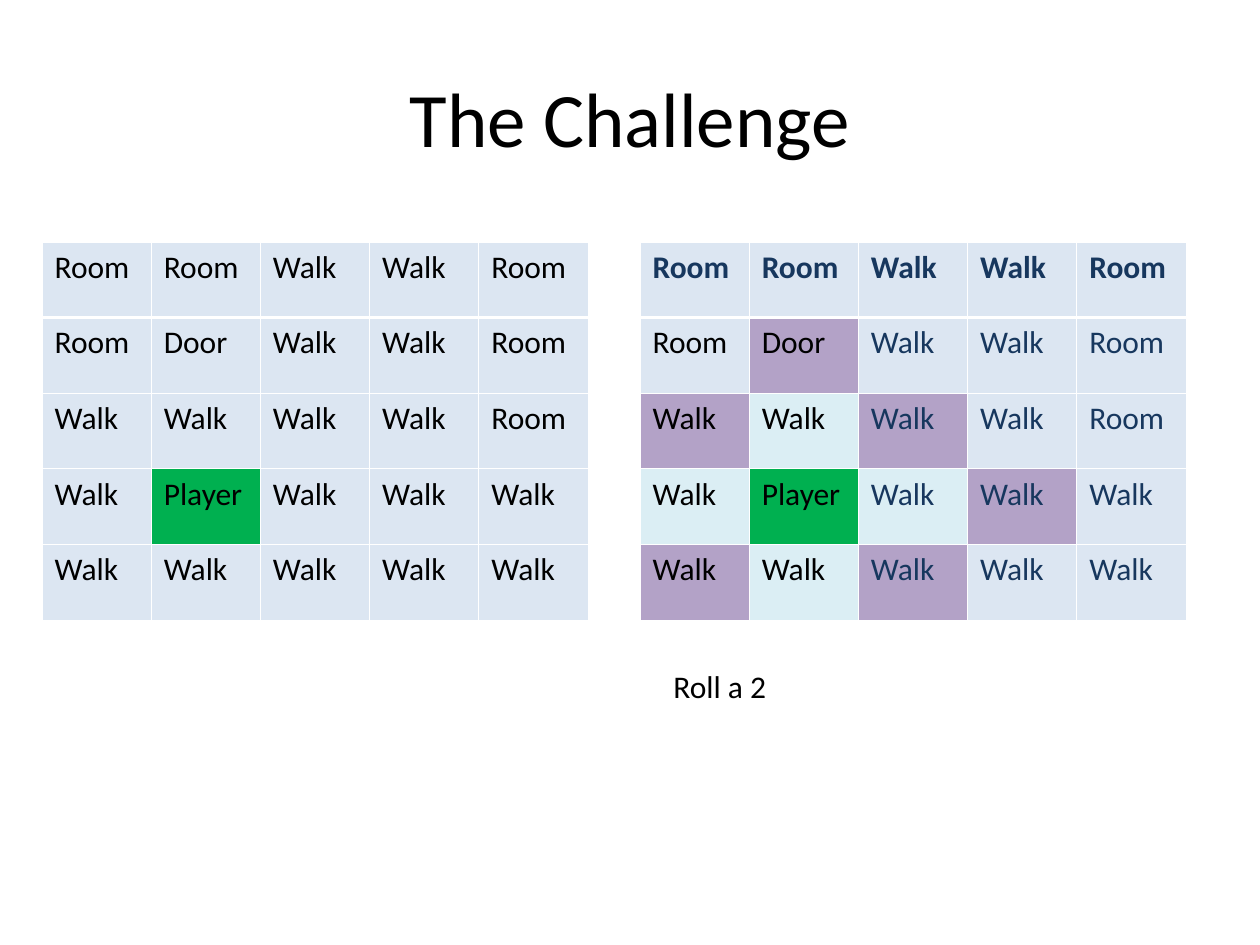
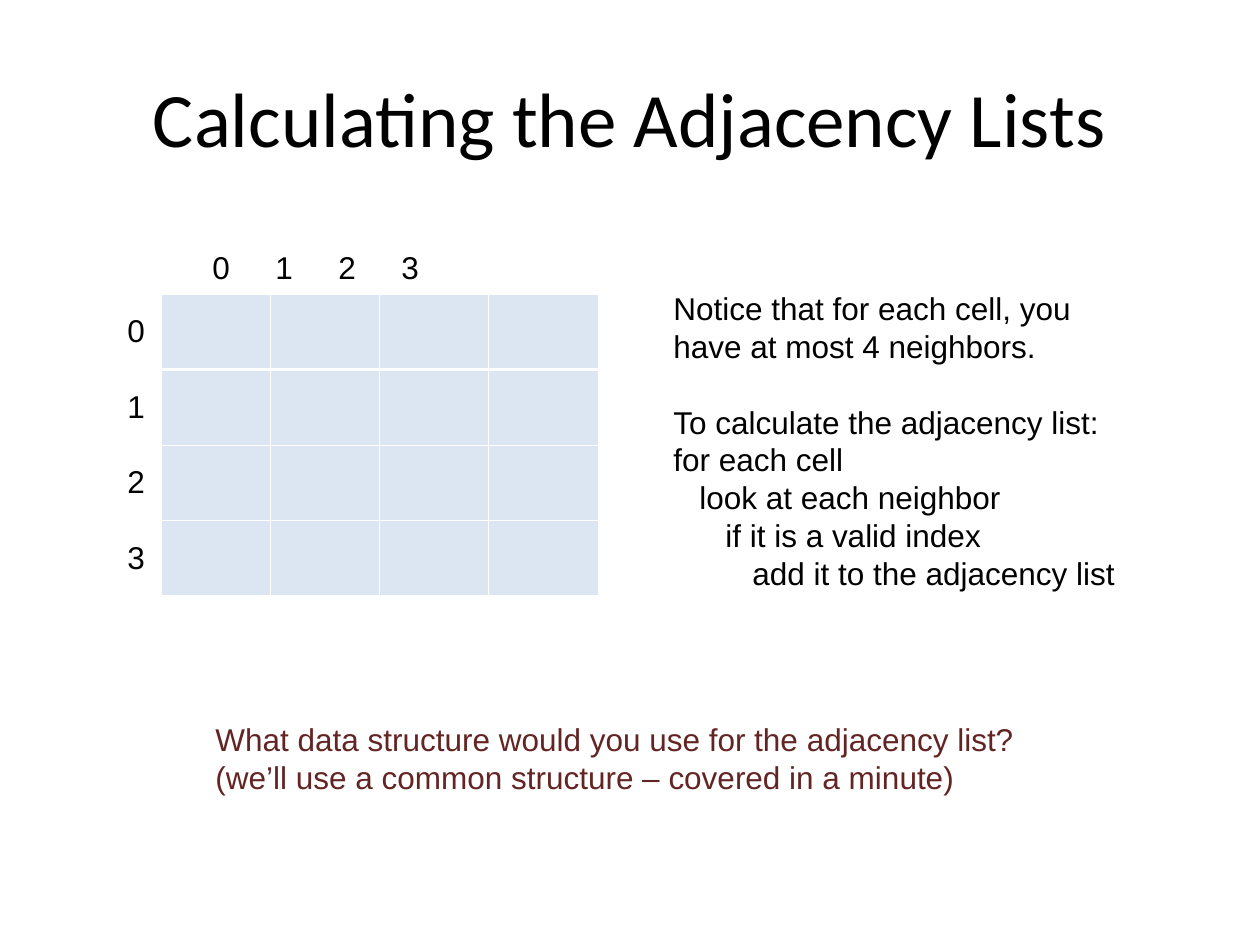
from lxml.etree import SubElement
from pptx import Presentation
from pptx.dml.color import RGBColor
from pptx.enum.text import MSO_ANCHOR, PP_ALIGN
from pptx.oxml.ns import qn
from pptx.util import Pt

PX = 914400 / 126
BLACK = RGBColor(0x00, 0x00, 0x00)
NAVY = RGBColor(0x17, 0x37, 0x5E)
MAROON = RGBColor(0x63, 0x25, 0x23)
PALE_BLUE = RGBColor(0xDC, 0xE6, 0xF2)
PALE_AQUA = RGBColor(0xDB, 0xEE, 0xF4)
PURPLE = RGBColor(0xB3, 0xA2, 0xC7)
GREEN = RGBColor(0x00, 0xB0, 0x50)
LINE_PITCH = Pt(21.6)
THIN, THICK = Pt(0.45), Pt(1.47)


def add_grid(page, area, row_count, column_count):
    """Add a pale blue board with white rules, thicker under the first row."""
    frame = page.shapes.add_table(row_count, column_count, *[round(v * PX) for v in area])
    board = frame.table
    board.first_row = board.horz_banding = False
    for row in range(row_count):
        for column in range(column_count):
            cell = board.cell(row, column)
            properties = cell._tc.get_or_add_tcPr()
            widths = {"a:lnL": THIN, "a:lnR": THIN,
                      "a:lnT": THICK if row == 1 else THIN,
                      "a:lnB": THICK if row == 0 else THIN}
            for side, width in widths.items():
                line = SubElement(properties, qn(side), w=str(int(width)))
                SubElement(SubElement(line, qn("a:solidFill")), qn("a:srgbClr"), val="FFFFFF")
            cell.fill.solid()
            cell.fill.fore_color.rgb = PALE_BLUE
    return board


def add_text(page, area, lines, font="Arial", color=BLACK, tabs=()):
    """Add a text box; each line is (text, indent in px, space before)."""
    box = page.shapes.add_textbox(*[round(v * PX) for v in area])
    box.text_frame.word_wrap = True
    for index, (text, indent, gap) in enumerate(lines):
        para = box.text_frame.paragraphs[0] if index == 0 else box.text_frame.add_paragraph()
        para.text = text
        properties = para._p.get_or_add_pPr()
        properties.set("marL", str(round(indent * PX)))
        properties.set("indent", "0")
        if tabs:
            stops = SubElement(properties, qn("a:tabLst"))
            for stop in tabs:
                SubElement(stops, qn("a:tab"), pos=str(round(stop * PX)), algn="l")
        if font == "Arial":
            para.line_spacing = LINE_PITCH
        if gap:
            para.space_before = gap
        para.font.name, para.font.size = font, Pt(18)
        para.font.color.rgb = color


deck = Presentation()
deck.slide_width, deck.slide_height = round(1260 * PX), round(945 * PX)

# Pages and their titles
pages = []
for heading in ("The Challenge", "Calculating the Adjacency Lists"):
    page = deck.slides.add_slide(deck.slide_layouts[5])
    title = page.shapes.title
    title.left, title.top, title.width, title.height = [
        round(v * PX) for v in (63, 38, 1134, 157)]
    title.text_frame.text = heading
    title.text_frame.vertical_anchor = MSO_ANCHOR.MIDDLE
    para = title.text_frame.paragraphs[0]
    para.alignment = PP_ALIGN.CENTER
    para.font.name, para.font.size = "Calibri", Pt(44)
    para.font.color.rgb = BLACK
    pages.append(page)
challenge, adjacency = pages

# Game boards: the right one marks the squares one and two steps away
squares = [row.split() for row in (
    "Room Room Walk Walk Room",
    "Room Door Walk Walk Room",
    "Walk Walk Walk Walk Room",
    "Walk Player Walk Walk Walk",
    "Walk Walk Walk Walk Walk",
)]
player_row, player_column = 3, 1
left_fills = {0: GREEN}
right_fills = {0: GREEN, 1: PALE_AQUA, 2: PURPLE}
for left, step_fills, marked in ((42, left_fills, False), (640, right_fills, True)):
    board = add_grid(challenge, (left, 242, 546, 378), 5, 5)
    for row, names in enumerate(squares):
        for column, name in enumerate(names):
            cell = board.cell(row, column)
            steps = abs(row - player_row) + abs(column - player_column)
            cell.fill.fore_color.rgb = step_fills.get(steps, PALE_BLUE)
            cell.text = name
            font = cell.text_frame.paragraphs[0].font
            font.name, font.size = "Calibri", Pt(18)
            font.bold = marked and row == 0
            font.color.rgb = NAVY if marked and (row == 0 or column > 1) else BLACK

add_text(challenge, (661, 661, 221, 50), [("Roll a 2", 0, 0)], font="Calibri")

# Algorithm and question
add_text(adjacency, (661, 283, 473, 315), [
    ("Notice that for each cell, you have at most 4 neighbors.", 0, 0),
    ("To calculate the adjacency list:", 0, LINE_PITCH),
    ("for each cell", 0, 0),
    ("look at each neighbor", 26, 0),
    ("if it is a valid index", 52, 0),
    ("add it to the adjacency list", 79, 0),
])
add_text(adjacency, (203, 714, 850, 88), [
    ("What data structure would you use for the adjacency list?", 0, 0),
    ("(we’ll use a common structure – covered in a minute)", 0, 0),
], color=MAROON)

# Empty board with column and row numbers
add_grid(adjacency, (161, 294, 437, 302), 4, 4)
add_text(adjacency, (200, 242, 375, 50), [("0\t1\t2\t3", 0, 0)], tabs=(114, 227, 332))
add_text(adjacency, (115, 305, 43, 277),
         [(str(row), 0, LINE_PITCH if row else 0) for row in range(4)])

deck.save("out.pptx")
